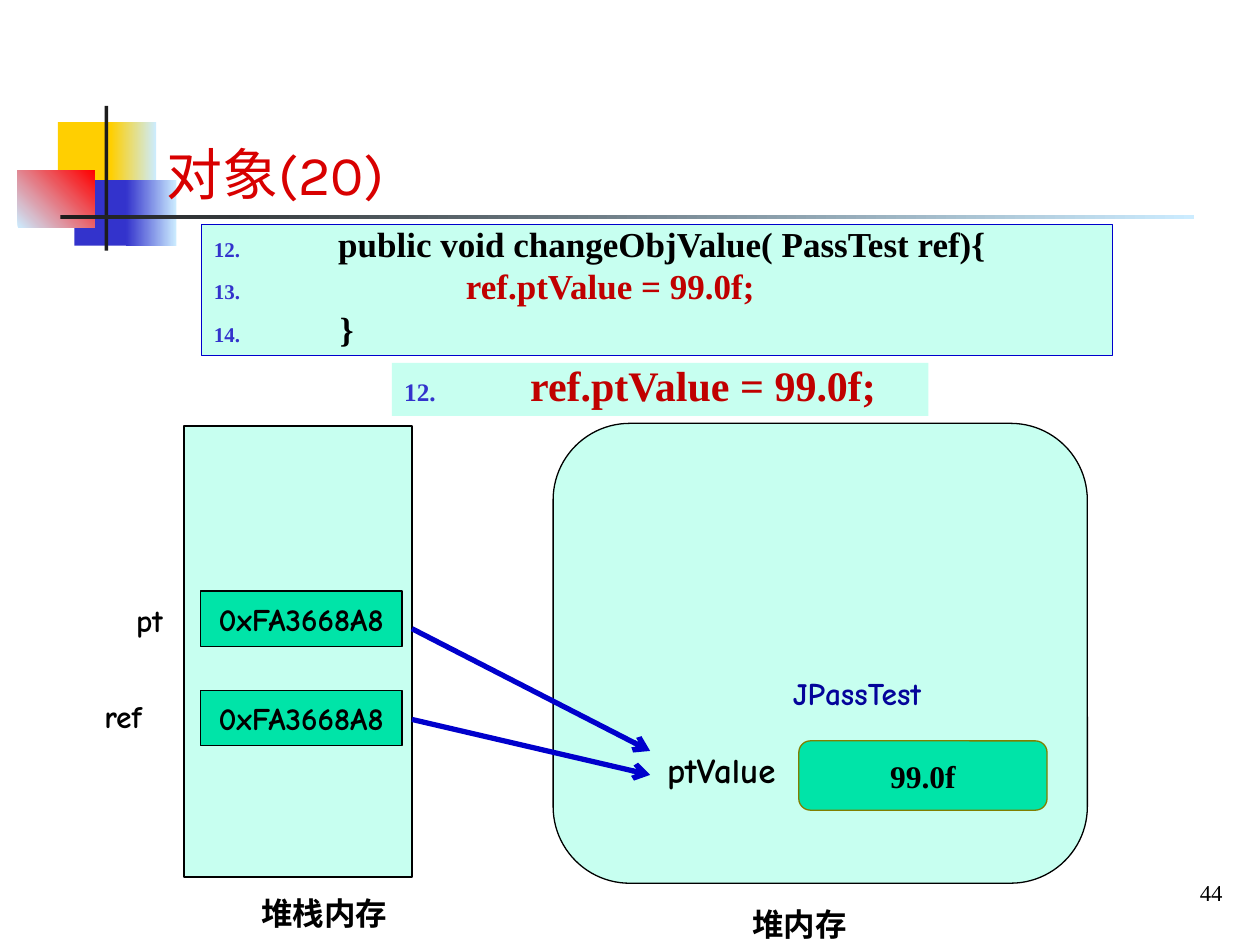
from collections import namedtuple

from lxml import etree
from pptx import Presentation
from pptx import util as u
from pptx.dml.color import RGBColor
from pptx.enum import shapes, text
from pptx.oxml import ns

BLACK = RGBColor(0x00, 0x00, 0x00)
CHARCOAL = RGBColor(0x1C, 0x1C, 0x1C)
YELLOW = RGBColor(0xFF, 0xCF, 0x01)
INDIGO = RGBColor(0x33, 0x33, 0xCC)
RED = RGBColor(0xFF, 0x00, 0x00)
SKY = RGBColor(0xCC, 0xEC, 0xFF)
TITLE_RED = RGBColor(0xD8, 0x00, 0x00)
CODE_RED = RGBColor(0xC0, 0x00, 0x00)
BLUE = RGBColor(0x00, 0x00, 0xCC)
NAVY = RGBColor(0x04, 0x04, 0x9A)
OLIVE = RGBColor(0x80, 0x80, 0x00)
MINT = RGBColor(0xC7, 0xFF, 0xF0)
GREEN = RGBColor(0x00, 0xE4, 0xA8)

HEAD, BODY, SERIF = "Karla", "Comic Neue", "Times New Roman"
RECT = shapes.MSO_SHAPE.RECTANGLE
ROUND = shapes.MSO_SHAPE.ROUNDED_RECTANGLE
LEFT, CENTER, RIGHT = text.PP_ALIGN.LEFT, text.PP_ALIGN.CENTER, text.PP_ALIGN.RIGHT
MIDDLE, TOP = text.MSO_ANCHOR.MIDDLE, text.MSO_ANCHOR.TOP

# The slide is a grid of 100 columns by 75 rows.
COLUMNS, ROWS = 100, 75
CELL = u.Inches(0.1)


class Box(namedtuple("Box", "left top width height")):
    def inner(self, left, top, width, height):
        """Return a box placed in cells from this box's corner."""
        return Box(self.left + left, self.top + top, width, height)

    def emu(self):
        return [round(side * CELL) for side in self]


def add_panel(slide, box, fill, line=None, kind=RECT):
    panel = slide.shapes.add_shape(kind, *box.emu())
    panel.shadow.inherit = False
    if isinstance(fill, RGBColor):
        panel.fill.solid()
        panel.fill.fore_color.rgb = fill
    else:
        start, end, angle = fill
        panel.fill.gradient()
        panel.fill.gradient_angle = angle
        for stop, color in zip(panel.fill.gradient_stops, (start, end)):
            stop.color.rgb = color
    if line is None:
        panel.line.fill.background()
    else:
        panel.line.color.rgb = line
        panel.line.width = u.Pt(0.75)
    return panel


def style(paragraph, size, font, color, bold=True, align=LEFT):
    paragraph.alignment = align
    for run in paragraph.runs:
        run.font.size = u.Pt(size)
        run.font.name = font
        run.font.bold = bold
        run.font.color.rgb = color


def write(shape, words, size=18, font=BODY, color=BLACK, bold=True,
          align=CENTER, anchor=MIDDLE):
    frame = shape.text_frame
    frame.word_wrap = True
    frame.vertical_anchor = anchor
    frame.text = words
    style(frame.paragraphs[0], size, font, color, bold, align)


def add_label(slide, box, words, **look):
    write(slide.shapes.add_textbox(*box.emu()), words, **{"anchor": TOP, **look})


def number_line(paragraph, first):
    """Give a code line its small coloured number and its tab stops."""
    props = paragraph._p.get_or_add_pPr()
    props.set("marL", str(u.Inches(0.5)))
    props.set("indent", str(-u.Inches(0.5)))

    def add(parent, tag, **attributes):
        return etree.SubElement(parent, ns.qn(tag), attributes)

    add(add(props, "a:buClr"), "a:srgbClr", val=str(INDIGO))
    add(props, "a:buSzPct", val="60000")
    add(props, "a:buAutoNum", type="arabicPeriod", startAt=str(first))
    stops = add(props, "a:tabLst")
    for inch in range(1, 9):
        add(stops, "a:tab", pos=str(u.Inches(inch)), algn="l")


def add_code(slide, box, lines, size, line=None, first=12):
    frame = add_panel(slide, box, MINT, line).text_frame
    frame.word_wrap = True
    frame.vertical_anchor = TOP
    frame.text = "\n".join(words for words, _ in lines)
    for index, (paragraph, (_, color)) in enumerate(zip(frame.paragraphs, lines)):
        number_line(paragraph, first)
        paragraph.line_spacing = 0.8
        if index:
            paragraph.space_before = u.Pt(5)
        style(paragraph, size, SERIF, color)


def add_ornament(slide, box):
    """Place the coloured squares and the cross rules beside the title."""
    for place, fill in (
        ((3.2, 1.3, 4.8, 5.2), YELLOW),
        ((7.4, 1.3, 3.6, 5.2), (YELLOW, SKY, 0)),
        ((4.5, 5.9, 4.6, 5.2), INDIGO),
        ((8.6, 5.9, 4, 5.2), (INDIGO, SKY, 0)),
        ((0, 5.1, 6.1, 4.6), (SKY, RED, 45)),
        ((6.9, 0, 0.3, 11.5), CHARCOAL),
        ((3.4, 8.7, 90, 0.3), (CHARCOAL, SKY, 0)),
    ):
        add_panel(slide, box.inner(*place), fill)


def add_title(slide, box, words):
    title = slide.shapes.title
    title.left, title.top, title.width, title.height = box.emu()
    write(title, words, size=32, font=HEAD, color=TITLE_RED, bold=False,
          align=LEFT, anchor=text.MSO_ANCHOR.BOTTOM)
    title.text_frame.auto_size = text.MSO_AUTO_SIZE.NONE
    slide.shapes._spTree.append(title._element)  # in front of the ornament


def add_stack(slide, box):
    add_panel(slide, box, MINT, BLACK)
    for top in (13.1, 21):
        cell = add_panel(slide, box.inner(1.3, top, 16, 4.4), GREEN, BLACK)
        write(cell, "0xFA3668A8")
    add_label(slide, box.inner(-11, 13.4, 10.3, 4), "pt", align=RIGHT)
    add_label(slide, box.inner(-7.3, 21, 7, 4), "ref", align=LEFT)
    add_label(slide, box.inner(0, 36.7, 22.3, 4), "堆栈内存")


def add_heap(slide, box):
    add_panel(slide, box, MINT, BLACK, ROUND)
    add_label(slide, box.inner(17, 19.4, 14.2, 4), "JPassTest", color=NAVY)
    add_label(slide, box.inner(7.5, 25.3, 11.7, 4.4), "ptValue", size=20)
    value = add_panel(slide, box.inner(19.5, 25.2, 19.7, 5.5), GREEN, OLIVE, ROUND)
    write(value, "99.0f", font=SERIF)
    add_label(slide, box.inner(3, 37.7, 33.1, 4), "堆内存")


def add_reference(slide, start, end):
    ends = [round(cells * CELL) for cells in (*start, *end)]
    arrow = slide.shapes.add_connector(shapes.MSO_CONNECTOR.STRAIGHT, *ends)
    arrow.line.color.rgb = BLUE
    arrow.line.width = u.Pt(3)
    etree.SubElement(arrow.line._get_or_add_ln(), ns.qn("a:tailEnd"), type="arrow")
    etree.SubElement(arrow._element.spPr, ns.qn("a:effectLst"))


def main():
    deck = Presentation()
    deck.slide_width, deck.slide_height = COLUMNS * CELL, ROWS * CELL
    slide = deck.slides.add_slide(deck.slide_layouts[5])
    page = Box(0, 0, COLUMNS, ROWS)

    add_ornament(slide, page.inner(1.4, 8.4, 93.4, 11.5))
    add_title(slide, page.inner(12.2, 6, 84.2, 10.9), "对象(20)")
    assignment = "ref.ptValue = 99.0f;"
    add_code(slide, page.inner(31.1, 28.8, 42.6, 4.2),
             [("\t" + assignment, CODE_RED)], 24)
    add_stack(slide, page.inner(14.6, 33.8, 18.1, 35.8))
    add_heap(slide, page.inner(43.9, 33.6, 42.4, 36.5))
    add_reference(slide, (32.7, 49.9), (51.6, 59.6))
    add_reference(slide, (32.7, 57.1), (51.6, 61.5))
    add_code(slide, page.inner(16, 17.8, 72.3, 10.4), [
        ("       public void changeObjValue( PassTest ref){", BLACK),
        ("\t\t" + assignment, CODE_RED),
        ("\t}", BLACK),
    ], 20, BLUE)
    add_label(slide, page.inner(78.9, 69, 19.1, 3.7), "44", size=13, font=SERIF,
              bold=False, align=RIGHT, anchor=MIDDLE)
    deck.save("out.pptx")


if __name__ == "__main__":
    main()
